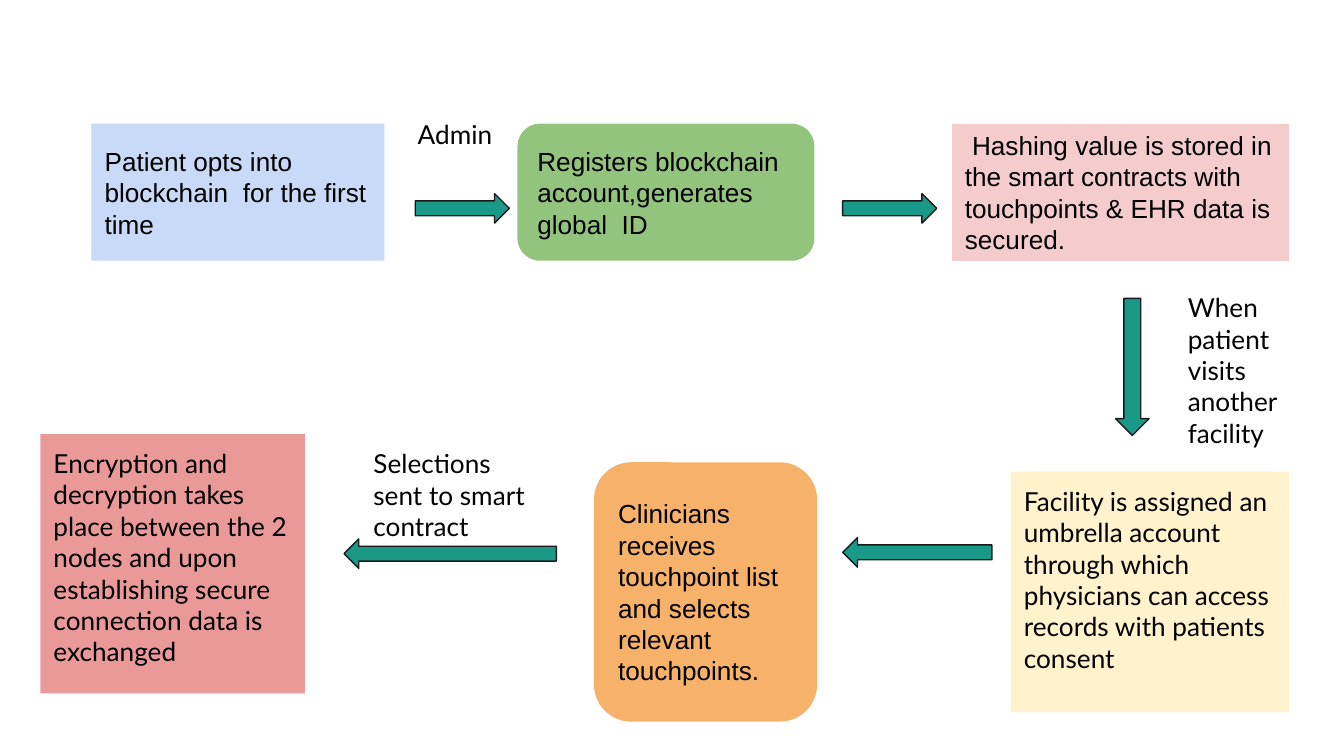
"""Build a flow slide of patient record sharing through a blockchain."""
from pptx import Presentation
from pptx import util as u
from pptx.dml.color import RGBColor
from pptx.enum import shapes, text

THEME = {
    "text": "000000", "arrow": "1A9988", "outline": "1A1A1A",
    "blue": "C9DAF8", "green": "93C47D", "pink": "F4CCCC",
    "cream": "FFF2CC", "orange": "F6B26B", "red": "EA9999",
    "size": 14, "line": 0.75, "inset": 0.1, "step_font": "Arial", "note_font": "Lato",
}
KIND = shapes.MSO_SHAPE
ANCHOR = text.MSO_ANCHOR
MIDDLE = ("step_font", ANCHOR.MIDDLE)
TOP = ("note_font", ANCHOR.TOP)

STEPS = [
    ("Patient opts into blockchain  for the first time",
     KIND.RECTANGLE, "blue", MIDDLE, (0.68, 0.92, 2.18, 1.02)),
    ("Registers blockchain account,generates global  ID",
     KIND.ROUNDED_RECTANGLE, "green", MIDDLE, (3.85, 0.92, 2.21, 1.02)),
    (" Hashing value is stored in the smart contracts with touchpoints & EHR data is secured.",
     KIND.FLOWCHART_PROCESS, "pink", MIDDLE, (7.08, 0.92, 2.51, 1.02)),
    ("Facility is assigned an umbrella account through which physicians can access "
     "records with patients consent",
     KIND.RECTANGLE, "cream", TOP, (7.52, 3.51, 2.07, 1.79)),
    ("Clinicians receives touchpoint list and selects relevant touchpoints.",
     KIND.ROUNDED_RECTANGLE, "orange", MIDDLE, (4.42, 3.44, 1.66, 1.93)),
    ("Encryption and decryption takes place between the 2 nodes and upon establishing "
     "secure connection data is exchanged",
     KIND.RECTANGLE, "red", TOP, (0.3, 3.23, 1.97, 1.93)),
]
ARROWS = [
    (KIND.RIGHT_ARROW, (3.09, 1.44, 0.7, 0.22)),
    (KIND.RIGHT_ARROW, (6.27, 1.44, 0.7, 0.22)),
    (KIND.DOWN_ARROW, (8.3, 2.22, 0.25, 1.02)),
    (KIND.LEFT_ARROW, (6.27, 4, 1.11, 0.22)),
    (KIND.LEFT_ARROW, (2.56, 4.01, 1.58, 0.22)),
]
NOTES = [
    ("Admin", (3.01, 0.78, 0.86, 0.6)),
    ("When patient visits another facility", (8.74, 2.07, 1.26, 1.31)),
    ("Selections sent to smart contract", (2.68, 3.23, 1.38, 0.79)),
]


def color(key):
    return RGBColor.from_string(THEME[key])


def write(holder, words, style):
    font_key, anchor = style
    frame = holder.text_frame
    frame.word_wrap = True
    frame.vertical_anchor = anchor
    frame.margin_left = frame.margin_right = u.Inches(THEME["inset"])
    frame.margin_top = frame.margin_bottom = u.Inches(THEME["inset"])
    paragraph = frame.paragraphs[0]
    paragraph.text = words
    paragraph.alignment = text.PP_ALIGN.LEFT
    paragraph.font.name = THEME[font_key]
    paragraph.font.size = u.Pt(THEME["size"])
    paragraph.font.color.rgb = color("text")


def draw(slide, kind, fill, place):
    figure = slide.shapes.add_shape(kind, *map(u.Inches, place))
    figure.shadow.inherit = False
    figure.fill.solid()
    figure.fill.fore_color.rgb = color(fill)
    figure.line.fill.background()
    return figure


def main():
    deck = Presentation()
    deck.slide_width = u.Inches(10)
    deck.slide_height = u.Inches(10 * 9 / 16)
    slide = deck.slides.add_slide(deck.slide_layouts[6])
    for words, kind, fill, style, place in STEPS:
        write(draw(slide, kind, fill, place), words, style)
    for kind, place in ARROWS:
        arrow = draw(slide, kind, "arrow", place)
        arrow.line.color.rgb = color("outline")
        arrow.line.width = u.Pt(THEME["line"])
    for words, place in NOTES:
        write(slide.shapes.add_textbox(*map(u.Inches, place)), words, TOP)
    deck.save("out.pptx")


if __name__ == "__main__":
    main()
